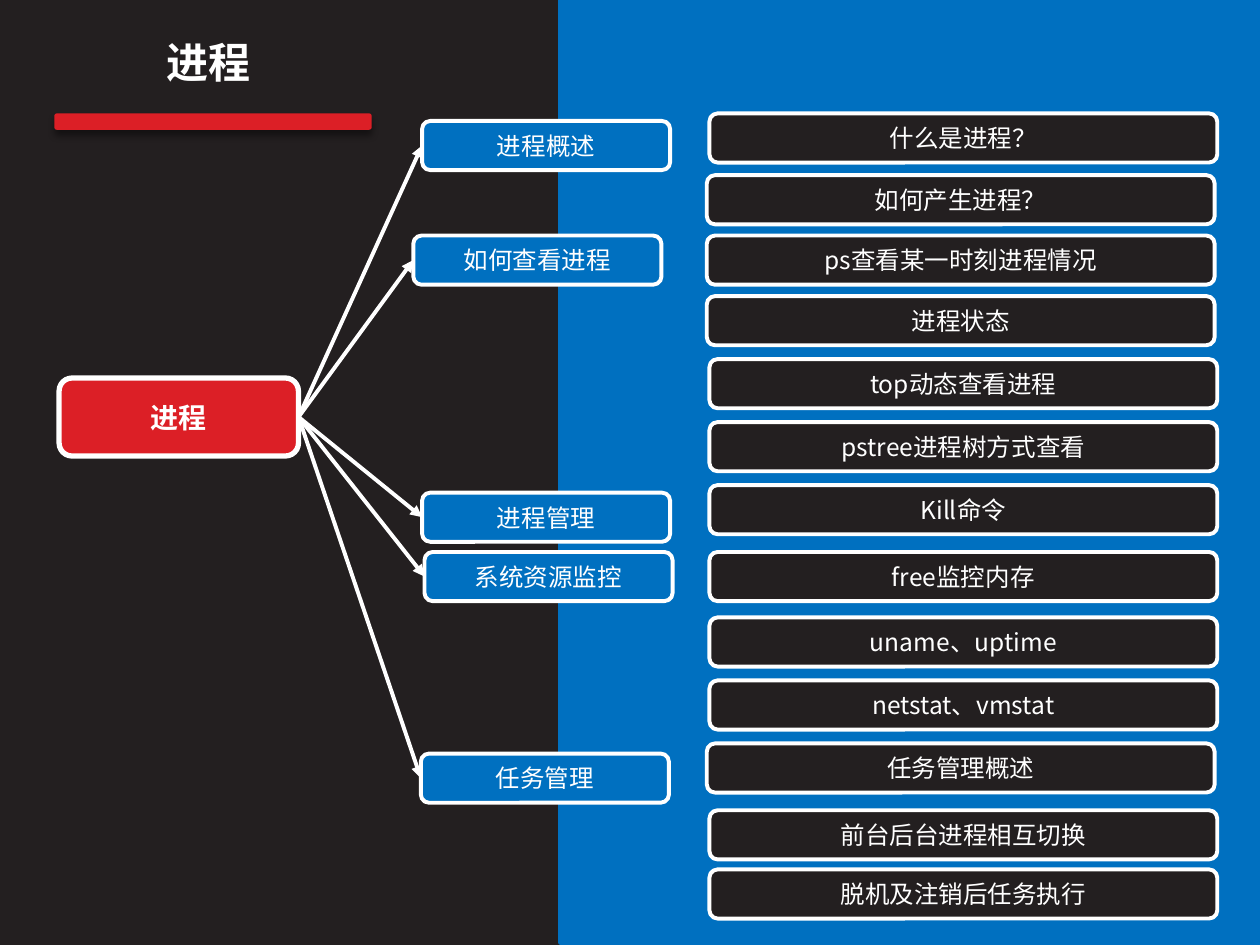
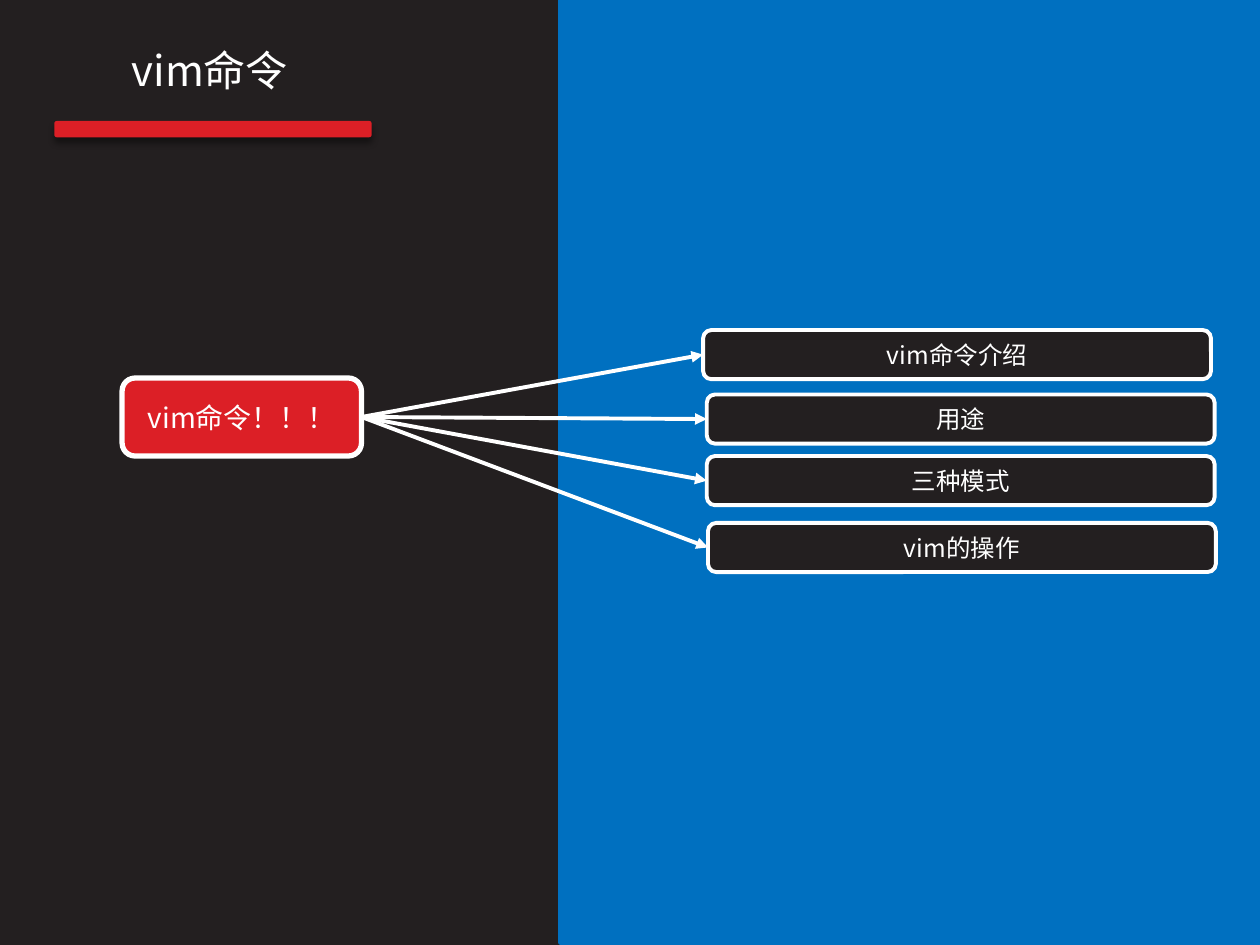
from lxml import etree
from pptx import Presentation
from pptx.dml.color import RGBColor
from pptx.enum import shapes, text
from pptx.oxml import ns
from pptx.util import Pt

COLORS = {"dark": "231F20", "blue": "0070C0", "red": "DC1F26", "white": "FFFFFF", "black": "000000"}
FONT = "Noto Sans CJK SC"
ROOT_SIZE = (136.8, 44.6)
BRANCH_SIZE = (141.8, 28.1)
DETAIL_SIZE = (290.2, 28.1)

PROCESS_BRANCHES = [
    ("进程概述", 241.2, 69.1),
    ("如何查看进程", 236.2, 134.6),
    ("进程管理", 241.2, 281.5),
    ("系统资源监控", 242.6, 315.4),
    ("任务管理", 240.5, 430.6),
]
PROCESS_DETAILS = [
    ("什么是进程？", 405.4, 64.8),
    ("如何产生进程？", 403.9, 100.1),
    ("ps查看某一时刻进程情况", 403.9, 134.6),
    ("进程状态", 403.9, 169.2),
    ("top动态查看进程", 405.4, 205.2),
    ("pstree进程树方式查看", 405.4, 241.2),
    ("Kill命令", 405.4, 277.2),
    ("free监控内存", 405.4, 315.4),
    ("uname、uptime", 405.4, 352.8),
    ("netstat、vmstat", 405.4, 388.8),
    ("任务管理概述", 403.9, 424.8),
    ("前台后台进程相互切换", 405.4, 463),
    ("脱机及注销后任务执行", 405.4, 496.8),
]
VIM_DETAILS = [
    ("vim命令介绍", 401.8, 188.6),
    ("用途", 403.9, 225.4),
    ("三种模式", 403.9, 260.6),
    ("vim的操作", 404.6, 298.8),
]


def rgb(color):
    return RGBColor.from_string(COLORS[color])


def write(frame, words, size, bold=False):
    paragraph = frame.paragraphs[0]
    paragraph.alignment = text.PP_ALIGN.CENTER
    run = paragraph.add_run()
    run.text = words
    run.font.size = Pt(size)
    run.font.bold = bold
    run.font.name = FONT
    run.font.color.rgb = rgb("white")
    east_asian = etree.SubElement(run.font._element, ns.qn("a:ea"))
    east_asian.set("typeface", FONT)


def add_block(slide, kind, left, top, width, height, fill, outline=None, weight=0):
    block = slide.shapes.add_shape(kind, Pt(left), Pt(top), Pt(width), Pt(height))
    block.shadow.inherit = False
    block.fill.solid()
    block.fill.fore_color.rgb = rgb(fill)
    if outline:
        block.line.color.rgb = rgb(outline)
        block.line.width = Pt(weight)
    else:
        block.line.fill.background()
    return block


def add_node(slide, words, left, top, size, fill, font_size=14, weight=2.25, bold=False):
    node = add_block(slide, shapes.MSO_SHAPE.ROUNDED_RECTANGLE, left, top, *size, fill, "white", weight)
    node.text_frame.word_wrap = True
    node.text_frame.vertical_anchor = text.MSO_ANCHOR.MIDDLE
    write(node.text_frame, words, font_size, bold)
    return node


def add_root(slide, words, left, bold=False):
    return add_node(slide, words, left, 216, ROOT_SIZE, "red", 16, 3, bold)


def add_arrow(slide, source, target):
    arrow = slide.shapes.add_connector(shapes.MSO_CONNECTOR.STRAIGHT, 0, 0, 0, 0)
    arrow.begin_connect(source, 3)
    arrow.end_connect(target, 1)
    arrow.line.color.rgb = rgb("white")
    arrow.line.width = Pt(2.25)
    etree.SubElement(arrow.line._get_or_add_ln(), ns.qn("a:tailEnd")).set("type", "triangle")
    etree.SubElement(arrow._element.spPr, ns.qn("a:effectLst"))


def cast_shadow(block):
    effects = block._element.spPr.find(ns.qn("a:effectLst"))
    shadow = etree.SubElement(effects, ns.qn("a:outerShdw"), blurRad=str(Pt(4)),
                              dist=str(Pt(3)), dir="5400000", rotWithShape="0")
    tint = etree.SubElement(shadow, ns.qn("a:srgbClr"), val=COLORS["black"])
    etree.SubElement(tint, ns.qn("a:alpha"), val="43000")


def add_topic_slide(deck, words, left, top, bold=False):
    slide = deck.slides.add_slide(deck.slide_layouts[5])
    add_block(slide, shapes.MSO_SHAPE.RECTANGLE, 320.4, 0, 399.6, 538.6, "blue", "blue", 3)
    title = slide.shapes.title
    title.left, title.top, title.width, title.height = Pt(left), Pt(top), Pt(199.4), Pt(51.1)
    title.text_frame.vertical_anchor = text.MSO_ANCHOR.TOP
    title.text_frame.auto_size = text.MSO_AUTO_SIZE.NONE
    write(title.text_frame, words, 24, bold)
    rule = add_block(slide, shapes.MSO_SHAPE.ROUNDED_RECTANGLE, 31, top + 47.5, 181.4, 9.4, "red")
    cast_shadow(rule)
    return slide


def add_process_slide(deck):
    slide = add_topic_slide(deck, "进程", 19.4, 17.3, bold=True)
    root = add_root(slide, "进程", 33.8, bold=True)
    for words, left, top in PROCESS_BRANCHES:
        branch = add_node(slide, words, left, top, BRANCH_SIZE, "blue")
        add_arrow(slide, root, branch)
    for words, left, top in PROCESS_DETAILS:
        add_node(slide, words, left, top, DETAIL_SIZE, "dark")


def add_vim_slide(deck):
    slide = add_topic_slide(deck, "vim命令", 20.2, 21.6)
    root = add_root(slide, "vim命令！！！", 69.8)
    for words, left, top in VIM_DETAILS:
        detail = add_node(slide, words, left, top, DETAIL_SIZE, "dark")
        add_arrow(slide, root, detail)


def main():
    deck = Presentation()
    deck.slide_width, deck.slide_height = Pt(720), Pt(540)
    backdrop = deck.slide_master.background.fill
    backdrop.solid()
    backdrop.fore_color.rgb = rgb("dark")
    add_process_slide(deck)
    add_vim_slide(deck)
    deck.save("out.pptx")


if __name__ == "__main__":
    main()
